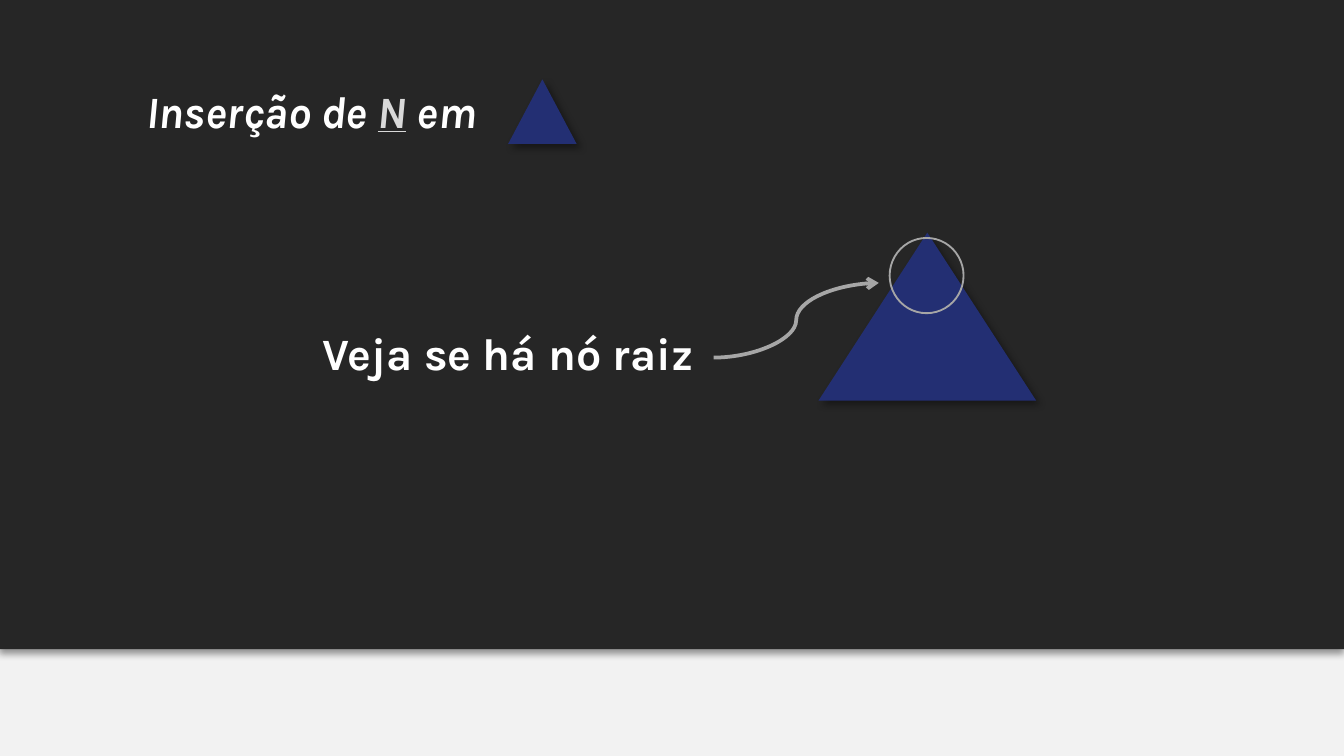
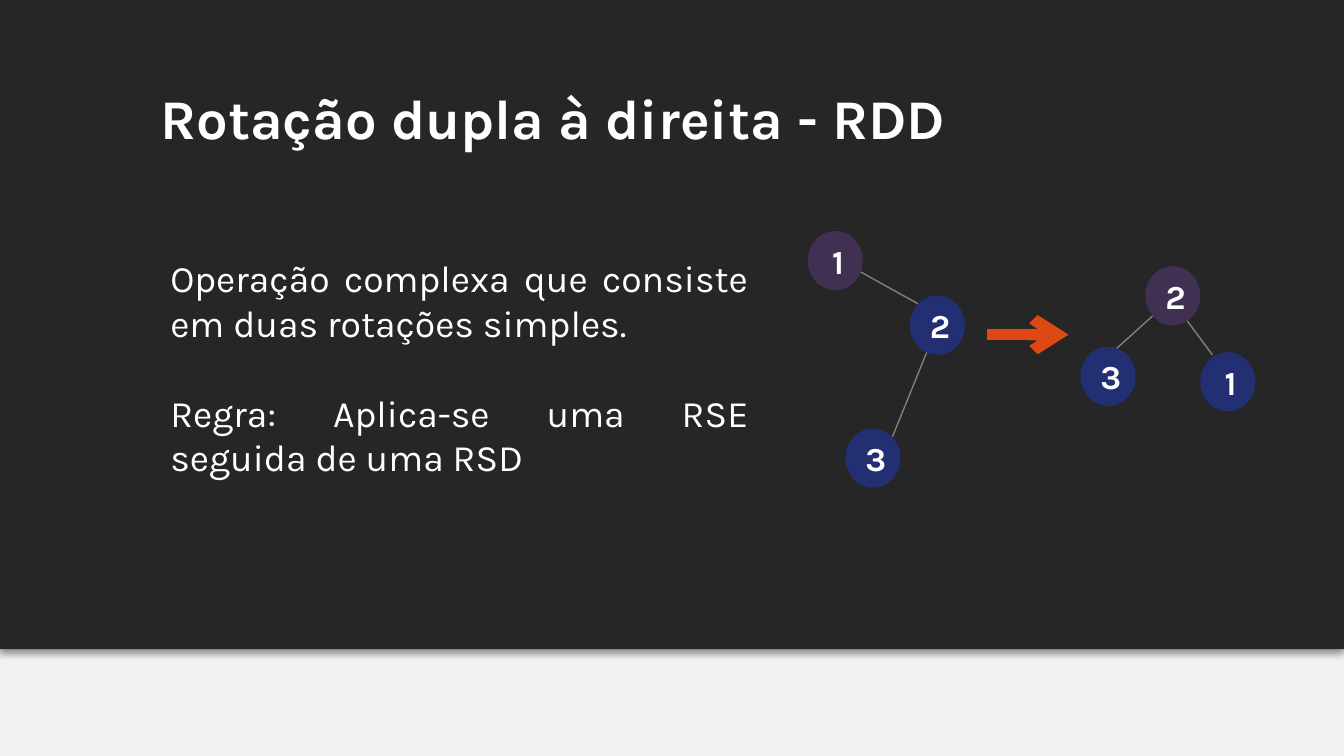
from collections import namedtuple

from lxml import etree
from pptx import Presentation
from pptx.dml.color import RGBColor
from pptx.enum import shapes, text
from pptx.oxml import ns
from pptx.util import Pt

COLORS = {
    "background": "F2F2F2",
    "band": "262626",
    "white": "FFFFFF",
    "key": "D9D9D9",
    "tree": "232F73",
    "root": "403152",
    "pointer": "A6A6A6",
    "edge": "808080",
    "arrow": "DD4814",
    "shadow": "000000",
}
FONT = "Karla"
INSET = 7.2
NODE_WIDTH, NODE_HEIGHT = 29.5, 31.7

Box = namedtuple("Box", "left top width height")


def color(name):
    return RGBColor.from_string(COLORS[name])


def points(*lengths):
    return [Pt(length) for length in lengths]


def add_effects(item, angle=None):
    effects = etree.SubElement(item._element.spPr, ns.qn("a:effectLst"))
    if angle is not None:
        shadow = etree.SubElement(
            effects, ns.qn("a:outerShdw"), blurRad=str(Pt(4)), dist=str(Pt(3)),
            dir=str(angle * 60000), algn="ctr", rotWithShape="0")
        shade = etree.SubElement(shadow, ns.qn("a:srgbClr"), val=COLORS["shadow"])
        etree.SubElement(shade, ns.qn("a:alpha"), val="40000")


def add_figure(owner, kind, box, fill=None, line=None, angle=None):
    figure = owner.shapes.add_shape(kind, *points(*box))
    if fill:
        figure.fill.solid()
        figure.fill.fore_color.rgb = color(fill)
    else:
        figure.fill.background()
    if line:
        figure.line.color.rgb = color(line)
        figure.line.width = Pt(1)
    else:
        figure.line.fill.background()
    if angle is None:
        figure.shadow.inherit = False
    else:
        add_effects(figure, angle)
    return figure


def add_line(owner, kind, start, end, line, width, arrow=False):
    connector = owner.shapes.add_connector(kind, *points(*start, *end))
    connector.line.color.rgb = color(line)
    connector.line.width = Pt(width)
    if arrow:
        etree.SubElement(connector.line._get_or_add_ln(), ns.qn("a:tailEnd"), type="arrow")
    add_effects(connector)


def set_frame(frame, anchor, insets=(INSET,) * 4):
    frame.word_wrap = True
    frame.auto_size = text.MSO_AUTO_SIZE.NONE
    frame.vertical_anchor = anchor
    (frame.margin_left, frame.margin_top,
     frame.margin_right, frame.margin_bottom) = points(*insets)


def format_text(frame, size, align, bold=False):
    for para in frame.paragraphs:
        para.alignment = align
        for span in para.runs:
            span.font.name = FONT
            span.font.size = Pt(size)
            span.font.bold = bold
            span.font.color.rgb = color("white")


def add_page(deck):
    page = deck.slides.add_slide(deck.slide_layouts[5])
    band = add_figure(page, shapes.MSO_SHAPE.RECTANGLE, Box(0, 0, 720, 347.8), "band", angle=90)
    page.shapes._spTree.insert(2, band._element)
    return page


def set_title(page, box, parts, size, anchor, align):
    title = page.shapes.title
    title.left, title.top, title.width, title.height = points(*box)
    set_frame(title.text_frame, anchor)
    para = title.text_frame.paragraphs[0]
    for part in parts:
        para.add_run().text = part
    format_text(title.text_frame, size, align, bold=True)
    return para.runs


def add_root_check(page, box):
    label = page.shapes.add_textbox(*points(box.left, box.top + 38.9, 239, 51.1))
    label.text_frame.text = "Veja se há nó raiz"
    set_frame(label.text_frame, text.MSO_ANCHOR.MIDDLE, (31, INSET, 0, INSET))
    format_text(label.text_frame, 24, text.PP_ALIGN.LEFT, bold=True)
    right = box.left + box.width
    add_figure(page, shapes.MSO_SHAPE.ISOSCELES_TRIANGLE,
               Box(right - 116.6, box.top, 116.6, box.height), "tree", angle=45)
    add_figure(page, shapes.MSO_SHAPE.OVAL,
               Box(right - 78.5, box.top + 2.9, 39.6, 40.3), line="pointer")
    add_line(page, shapes.MSO_CONNECTOR.CURVE, (box.left + 240.5, box.top + 67),
             (box.left + 329, box.top + 27), "pointer", 2, arrow=True)


def add_insertion_page(deck):
    page = add_page(deck)
    spans = set_title(page, Box(71.3, 33.8, 206.6, 51.1), ["Inserção de ", "N", " em"],
                      24, text.MSO_ANCHOR.MIDDLE, text.PP_ALIGN.LEFT)
    for span in spans:
        span.font.italic = True
    spans[1].font.underline = True
    spans[1].font.color.rgb = color("key")
    add_figure(page, shapes.MSO_SHAPE.ISOSCELES_TRIANGLE,
               Box(272.2, 42.5, 36.7, 34.6), "tree", angle=45)
    add_root_check(page, Box(141.8, 124.6, 413.3, 90))


def add_rule_text(page, box):
    body = page.shapes.add_textbox(*points(*box))
    frame = body.text_frame
    frame.text = "Operação complexa que consiste em duas rotações simples."
    rule = frame.add_paragraph()
    rule.text = "Regra: Aplica-se uma RSE seguida de uma RSD"
    rule.space_before = Pt(24)
    set_frame(frame, text.MSO_ANCHOR.TOP)
    format_text(frame, 20, text.PP_ALIGN.JUSTIFY)


def add_tree(page, left, top, edges, nodes):
    group = page.shapes.add_group_shape()
    for x1, y1, x2, y2 in edges:
        add_line(group, shapes.MSO_CONNECTOR.STRAIGHT, (left + x1, top + y1),
                 (left + x2, top + y2), "edge", 0.75)
    for key, x, y, fill in nodes:
        node = add_figure(group, shapes.MSO_SHAPE.OVAL,
                          Box(left + x, top + y, NODE_WIDTH, NODE_HEIGHT), fill)
        node.text_frame.text = key
        set_frame(node.text_frame, text.MSO_ANCHOR.MIDDLE, (3, 0, 0, 0))
        format_text(node.text_frame, 18, text.PP_ALIGN.CENTER, bold=True)


def add_rotation_page(deck):
    page = add_page(deck)
    set_title(page, Box(59.8, 37.4, 473, 58.3), ["Rotação dupla à direita - RDD"],
              30, text.MSO_ANCHOR.TOP, text.PP_ALIGN.CENTER)
    add_rule_text(page, Box(84.2, 129.6, 324, 136.8))
    add_tree(page, 432.7, 123.8,
             [(23.8, 19.4, 59, 38.9), (66.2, 59, 45.4, 110.2)],
             [("1", 0, 0, "root"), ("2", 54.7, 34.6, "tree"), ("3", 20.2, 105.8, "tree")])
    add_tree(page, 578.9, 142.6,
             [(11.5, 51.1, 49, 17.3), (40.3, 6.5, 70.6, 47.5)],
             [("3", 0, 43.2, "tree"), ("2", 34.6, 0, "root"), ("1", 64.1, 46.1, "tree")])
    add_line(page, shapes.MSO_CONNECTOR.STRAIGHT, (528.5, 179.3), (572.4, 179.3),
             "arrow", 6, arrow=True)


def main():
    deck = Presentation()
    deck.slide_width, deck.slide_height = points(720, 405)
    backdrop = deck.slide_master.background.fill
    backdrop.solid()
    backdrop.fore_color.rgb = color("background")
    add_insertion_page(deck)
    add_rotation_page(deck)
    deck.save("out.pptx")


if __name__ == "__main__":
    main()
